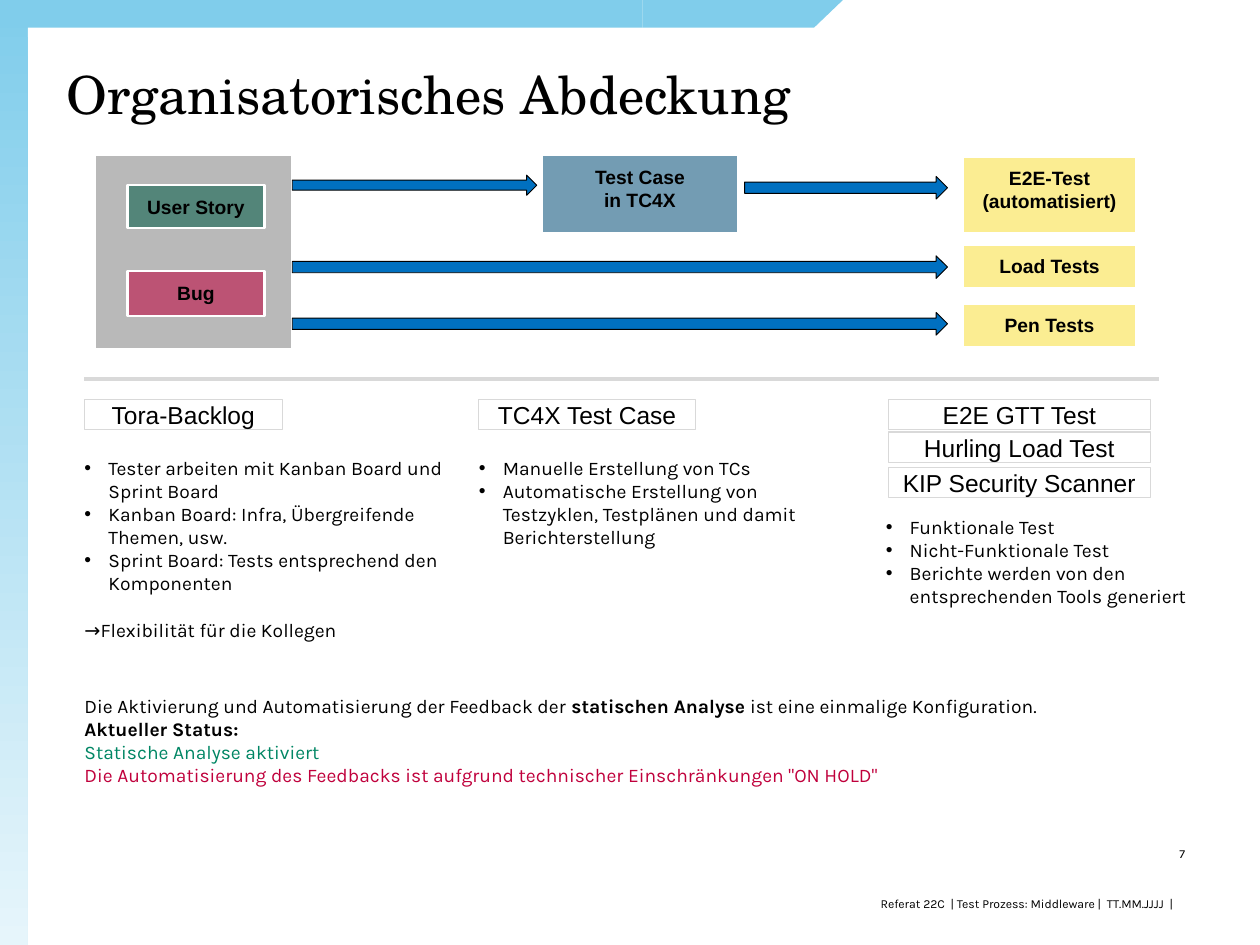
from lxml.etree import SubElement
from pptx import Presentation
from pptx.dml.color import RGBColor
from pptx.enum.shapes import MSO_CONNECTOR as Connector, MSO_SHAPE as Preset
from pptx.enum.text import MSO_ANCHOR as Anchor, MSO_AUTO_SIZE as AutoSize, PP_ALIGN as Align
from pptx.oxml.ns import qn
from pptx.util import Inches, Pt

COLORS = {
    "sky": "80CDEB", "ice": "E6F5FB", "black": "000000", "white": "FFFFFF",
    "gray": "808080", "rule": "D9D9D9", "green": "005C45", "blue": "004B76",
    "yellow": "F9E03A", "red": "C0003C", "arrow": "0070C0", "done": "008664",
}
TITLE = "Organisatorisches Abdeckung"
FOOTER = "Referat 22C  | Test Prozess: Middleware |  TT.MM.JJJJ  |"
PAGE = "7"

FLOW_BOXES = [
    ([], "gray", (0.75, 1.23, 1.57, 1.54)),
    (["User Story"], "green", (1.01, 1.47, 1.09, 0.34)),
    (["Bug"], "red", (1.01, 2.15, 1.09, 0.36)),
    (["Test Case", "in TC4X"], "blue", (4.3, 1.23, 1.56, 0.62)),
    (["E2E-Test", "(automatisiert)"], "yellow", (7.64, 1.24, 1.38, 0.61)),
    (["Load Tests"], "yellow", (7.64, 1.94, 1.38, 0.35)),
    (["Pen Tests"], "yellow", (7.64, 2.41, 1.38, 0.35)),
]
ARROWS = [
    (2.32, 1.39, 1.94, 0.16),
    (5.91, 1.4, 1.61, 0.18),
    (2.32, 2.03, 5.2, 0.18),
    (2.32, 2.48, 5.2, 0.18),
]
COLUMNS = [
    {
        "left": 0.67, "width": 1.57, "labels": [("Tora-Backlog", 3.17)],
        "list": (0.67, 3.62, 3.01, 1.78),
        "items": [
            "Tester arbeiten mit Kanban Board und Sprint Board",
            "Kanban Board: Infra, Übergreifende Themen, usw.",
            "Sprint Board: Tests entsprechend den Komponenten",
        ],
        "result": "→Flexibilität für die Kollegen",
    },
    {
        "left": 3.8, "width": 1.72, "labels": [("TC4X Test Case", 3.17)],
        "list": (3.8, 3.62, 3.01, 0.56),
        "items": [
            "Manuelle Erstellung von TCs",
            "Automatische Erstellung von Testzyklen, Testplänen und damit Berichterstellung",
        ],
    },
    {
        "left": 7.05, "width": 2.08,
        "labels": [("E2E GTT Test", 3.17), ("Hurling Load Test", 3.43), ("KIP Security Scanner", 3.71)],
        "list": (7.03, 4.09, 3.01, 0.74),
        "items": [
            "Funktionale Test",
            "Nicht-Funktionale Test",
            "Berichte werden von den entsprechenden Tools generiert",
        ],
    },
]
STATUS = [
    [
        ("Die Aktivierung und Automatisierung der Feedback der ", {}),
        ("statischen Analyse", {"bold": True}),
        (" ist eine einmalige Konfiguration.", {}),
    ],
    [("Aktueller Status:", {"bold": True})],
    [("Statische Analyse aktiviert", {"color": "done"})],
    [("Die Automatisierung des Feedbacks ist aufgrund technischer Einschränkungen \"ON HOLD\"", {"color": "red"})],
]


def rgb(name):
    return RGBColor.from_string(COLORS[name])


def place(shape, box):
    shape.left, shape.top, shape.width, shape.height = map(Inches, box)
    return shape


def set_bullet(paragraph, bullet):
    properties = paragraph._p.get_or_add_pPr()
    indent = Inches(0.19) if bullet else 0
    properties.set("marL", str(indent))
    properties.set("indent", str(-indent))
    if bullet:
        SubElement(properties, qn("a:buFont")).set("typeface", "Arial")
        SubElement(properties, qn("a:buChar")).set("char", "•")
    else:
        SubElement(properties, qn("a:buNone"))


def write(shape, paragraphs, font="Karla", size=11, color="black", bold=False, align=Align.LEFT,
          anchor=Anchor.TOP, inset=(0, 0), spacing=1.0, bullets=0, gap=0):
    frame = shape.text_frame
    frame.word_wrap, frame.auto_size, frame.vertical_anchor = True, AutoSize.NONE, anchor
    frame.margin_left = frame.margin_right = Inches(inset[0])
    frame.margin_top = frame.margin_bottom = Inches(inset[1])
    for index, runs in enumerate(paragraphs):
        paragraph = frame.paragraphs[0] if index == 0 else frame.add_paragraph()
        paragraph.alignment, paragraph.line_spacing = align, spacing
        paragraph.space_before = Pt(gap if bullets and index == bullets else 0)
        paragraph.space_after = Pt(0)
        set_bullet(paragraph, index < bullets)
        for text, changes in [(runs, {})] if isinstance(runs, str) else runs:
            run = paragraph.add_run()
            run.text = text
            run.font.name, run.font.size = font, Pt(size)
            run.font.bold = changes.get("bold", bold)
            run.font.color.rgb = rgb(changes.get("color", color))


def style(shape, fill=None, line=None, width=1, opacity=None):
    shape.shadow.inherit = False
    if fill:
        shape.fill.solid()
        shape.fill.fore_color.rgb = rgb(fill)
        if opacity:
            color = shape.fill._xPr.find(qn("a:solidFill"))[0]
            SubElement(color, qn("a:alpha")).set("val", str(opacity * 1000))
    else:
        shape.fill.background()
    if line:
        shape.line.color.rgb = rgb(line)
        shape.line.width = Pt(width)
    else:
        shape.line.fill.background()
    return shape


def add_preset(slide, preset, box, **look):
    return style(slide.shapes.add_shape(preset, *map(Inches, box)), **look)


def add_frame(slide):
    side = add_preset(slide, Preset.RECTANGLE, (0, 0, 0.22, 7.5))
    side.fill.gradient()
    side.fill.gradient_angle = 270
    for stop, name in zip(side.fill.gradient_stops, ("sky", "ice")):
        stop.color.rgb = rgb(name)
    add_preset(slide, Preset.RECTANGLE, (0, 0, 5.1, 0.22), fill="sky")
    builder = slide.shapes.build_freeform(Inches(5.1), 0)
    corners = [(6.69, 0), (6.46, 0.22), (5.1, 0.22)]
    builder.add_line_segments([(Inches(x), Inches(y)) for x, y in corners], close=True)
    style(builder.convert_to_shape(), fill="sky")


def add_flow(slide):
    for lines, color, box in FLOW_BOXES:
        shape = add_preset(slide, Preset.RECTANGLE, box, fill=color, line="white", width=1.5, opacity=55)
        write(shape, lines, font="Arial", bold=True, align=Align.CENTER, inset=(0.1, 0.08))
    for box in ARROWS:
        add_preset(slide, Preset.RIGHT_ARROW, box, fill="arrow", line="black", width=0.5)
    ends = map(Inches, (9.2, 3.01, 0.67, 3.01))
    divider = slide.shapes.add_connector(Connector.STRAIGHT, *ends)
    divider.line.color.rgb = rgb("rule")
    divider.line.width = Pt(2)
    SubElement(divider._element.spPr, qn("a:effectLst"))


def add_columns(slide, bodies):
    for column, body in zip(COLUMNS, bodies):
        for label, top in column["labels"]:
            box = (column["left"], top, column["width"], 0.24)
            shape = add_preset(slide, Preset.RECTANGLE, box, line="rule", width=0.75)
            write(shape, [label], font="Arial", size=14, align=Align.CENTER, anchor=Anchor.MIDDLE)
        items = column["items"]
        result = [column["result"]] if "result" in column else []
        write(place(body, column["list"]), items + result, bullets=len(items), gap=13.5)


def main():
    presentation = Presentation()
    presentation.slide_width, presentation.slide_height = Inches(10), Inches(7.5)
    slide = presentation.slides.add_slide(presentation.slide_layouts.get_by_name("Comparison"))
    title, *lists, status = [slide.placeholders[index] for index in range(5)]
    add_frame(slide)
    write(place(title, (0.53, 0.51, 8.94, 0.56)), [TITLE],
          font="TeX Gyre Schola", size=30, spacing=Pt(35))
    add_flow(slide)
    add_columns(slide, lists)
    write(place(status, (0.67, 5.51, 8.54, 0.74)), STATUS)
    footer = slide.shapes.add_textbox(*map(Inches, (1.85, 7.11, 7.46, 0.12)))
    write(footer, [FOOTER], size=7, align=Align.RIGHT)
    number = slide.shapes.add_textbox(*map(Inches, (9.36, 6.72, 0.21, 0.12)))
    write(number, [PAGE], size=7)
    presentation.save("out.pptx")


if __name__ == "__main__":
    main()
